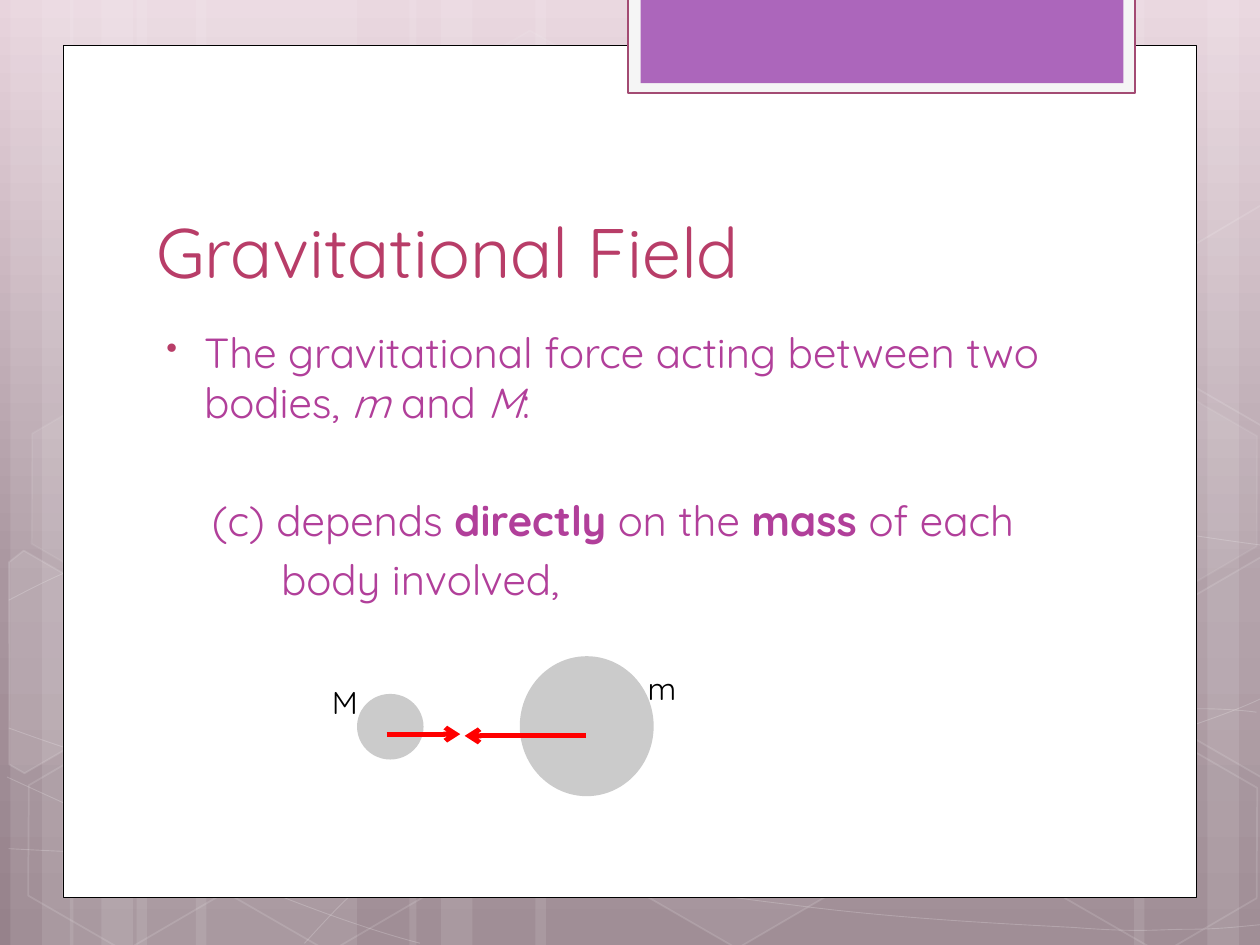
import pptx
import pptx.dml.color
import pptx.enum.shapes
import pptx.enum.text
import pptx.oxml
import pptx.oxml.ns
import pptx.util

Pt = pptx.util.Pt
RGB = pptx.dml.color.RGBColor.from_string
SHAPE = pptx.enum.shapes.MSO_SHAPE
ANCHOR = pptx.enum.text.MSO_ANCHOR
qn = pptx.oxml.ns.qn
NS = 'xmlns:a="http://schemas.openxmlformats.org/drawingml/2006/main"'

THEME = {
    "font": "Quicksand",
    "title": "B83D68", "body": "B13F9A", "label": "000000",
    "white": "FFFFFF", "card_edge": "000000",
    "frame": "F5F5F5", "frame_edge": "A34B73", "tab": "AC66BB",
    "sphere": "CBCBCB", "force": "FF0000",
    "sky": [(0, "E8D4DD"), (62, "A9969F"), (100, "96828B")],
    "title_size": 40, "body_size": 24, "label_size": 18,
}

prs = pptx.Presentation()
prs.slide_width, prs.slide_height = Pt(720), Pt(540)
slide = prs.slides.add_slide(prs.slide_layouts[5])
shapes = slide.shapes


def paint(shape, fill=None, fill_alpha=100, edge=None, width=1, edge_alpha=100):
    """Give a shape flat fill and line, each with an opacity in percent."""
    shape.shadow.inherit = False
    for part, color, alpha in ((shape.fill, fill, fill_alpha),
                               (shape.line.fill, edge, edge_alpha)):
        if color is None:
            part.background()
            continue
        part.solid()
        part.fore_color.rgb = RGB(color)
        if alpha < 100:
            owner = shape._element.spPr
            solid = (owner if part is shape.fill else owner.find(qn("a:ln"))).find(qn("a:solidFill"))
            solid[0].append(pptx.oxml.parse_xml(f'<a:alpha {NS} val="{alpha * 1000}"/>'))
    if edge:
        shape.line.width = Pt(width)


def write(paragraph, runs, size, color):
    """Add (text, font attributes) runs in the theme font."""
    for text, style in runs:
        run = paragraph.add_run()
        run.text = text
        run.font.color.rgb = RGB(color)
        look = {"name": THEME["font"], "size": Pt(size), "bold": False, "italic": False, **style}
        for attribute, value in look.items():
            setattr(run.font, attribute, value)


# Background gradient
sky = slide.background.fill
sky.gradient()
sky.gradient_angle = 270
stops = slide.background._cSld.find(".//" + qn("a:gsLst"))
for stop in list(stops):
    stops.remove(stop)
for position, color in THEME["sky"]:
    stops.append(pptx.oxml.parse_xml(
        f'<a:gs {NS} pos="{position * 1000}"><a:srgbClr val="{color}"/></a:gs>'))

# Vertical light bands: left, width
for left, width in [(78, 126), (6, 36), (24, 60), (112, 126), (40, 36), (58, 60), (528, 126),
                    (690, 36), (648, 60), (306, 222), (234, 36), (252, 60)]:
    band = shapes.add_shape(SHAPE.RECTANGLE, Pt(left), 0, Pt(width), Pt(540))
    paint(band, THEME["white"], 10)

# Sweeping curves: start point, then cubic segments of two handles and an end
sweeps = [
    [(5, 485), (44, 487), (83, 489), (137, 488), (191, 487), (258, 486), (330, 479),
     (402, 472), (504, 458), (570, 444), (636, 431), (703, 409), (725, 397)],
    [(5, 343), (26, 332), (47, 321), (87, 310), (128, 300), (186, 284), (250, 279),
     (314, 274), (392, 273), (471, 279), (550, 284), (682, 307), (725, 312)],
    [(4, 444), (91, 484), (178, 523), (240, 539)],
    [(5, 416), (27, 424), (50, 432), (92, 444), (134, 454), (197, 472), (257, 485),
     (317, 497), (392, 510), (452, 517), (512, 525), (576, 528), (614, 530),
     (652, 533), (662, 531), (680, 531), (699, 531), (712, 529), (725, 528)],
    [(174, 539), (187, 525), (200, 510), (217, 498), (235, 485), (259, 470), (279, 460),
     (300, 450), (312, 446), (338, 438), (364, 431), (413, 421), (438, 416),
     (464, 411), (467, 411), (490, 410), (512, 407), (547, 405), (572, 405),
     (597, 404), (638, 405), (638, 405), (654, 405), (670, 405), (686, 405),
     (699, 405), (711, 406), (718, 407)],
]
for sweep in sweeps:
    builder = shapes.build_freeform(*sweep[0], scale=Pt(1))
    builder.add_line_segments(sweep[1:], close=False)
    curve = builder.convert_to_shape()
    # Join every three straight steps into one cubic segment
    steps = list(curve._element.iter(qn("a:lnTo")))
    for k in range(0, len(steps), 3):
        cubic = pptx.oxml.parse_xml(f"<a:cubicBezTo {NS}/>")
        steps[k].addprevious(cubic)
        for step in steps[k:k + 3]:
            cubic.append(step[0])
            step.getparent().remove(step)
    paint(curve, edge=THEME["white"], width=0.5, edge_alpha=20)

# Tilted hexagons: left, top, fill opacity, line opacity
for left, top, fill_alpha, edge_alpha in [(240, 26, 4, 8), (358, 424, 6, 12), (8, 425.5, 0, 12),
                                          (10, 224.5, 7, 8), (125, 426, 0, 12),
                                          (542, 326, 10, 12), (600.5, 427, 0, 12),
                                          (600.5, 226, 7, 8)]:
    hexagon = shapes.add_shape(SHAPE.HEXAGON, Pt(left), Pt(top), Pt(126), Pt(109.5))
    hexagon.adjustments[0], hexagon.adjustments[1] = 0.285, 1.155
    hexagon.rotation = 30
    paint(hexagon, THEME["white"] if fill_alpha else None, fill_alpha,
          THEME["white"], 1, edge_alpha)

# Tilted hexagons cut off by the slide edges: outline, left, top, fill opacity
left_cut = [(0, 9), (4, 0), (68, 0), (99, 55.5), (68, 110), (58, 110)]
right_cut = [(0, 54.5), (31, 0), (38, 0), (98, 104.5), (95, 109.5), (31.5, 109.5)]
for outline, left, top, fill_alpha in [(left_cut, -24, 330.5, 10), (right_cut, 660, 319.5, 4),
                                       (right_cut, 660, 119, 0)]:
    corners = [(left + x, top + y) for x, y in outline]
    builder = shapes.build_freeform(*corners[0], scale=Pt(1))
    builder.add_line_segments(corners[1:], close=True)
    cut = builder.convert_to_shape()
    cut.rotation = 30
    paint(cut, THEME["white"] if fill_alpha else None, fill_alpha, THEME["white"], 1, 12)

# White card and the tab hanging over its top edge
for box, fill, edge, width in [((36, 26, 648, 487), "white", "card_edge", 0.5),
                               ((359, -1.5, 289.5, 54.5), "frame", "frame_edge", 1.25),
                               ((366, -1.5, 276, 49), "tab", None, 0)]:
    panel = shapes.add_shape(SHAPE.RECTANGLE, *map(Pt, box))
    paint(panel, THEME[fill], edge=THEME.get(edge), width=width)

# Title, brought in front of the card
title = shapes.title
title.left, title.top, title.width, title.height = Pt(82), Pt(80.5), Pt(553), Pt(90)
title.text_frame.vertical_anchor = ANCHOR.BOTTOM
heading = title.text_frame.paragraphs[0]
heading.alignment = pptx.enum.text.PP_ALIGN.LEFT
write(heading, [("Gravitational Field", {})], THEME["title_size"], THEME["title"])
shapes._spTree.append(title._element)

# Statement: left margin, first-line indent, space before, runs
statement = shapes.add_textbox(Pt(82), Pt(183), Pt(533.5), Pt(276.5)).text_frame
statement.word_wrap = True
lines = [
    (27.5, -21.5, 0, [("The gravitational force acting between two bodies, ", {}),
                      ("m ", {"italic": True}), ("and ", {}),
                      ("M", {"italic": True}), (":", {})]),
    (32, 0, 38.5, [("(c) depends ", {}), ("directly", {"bold": True}), (" on the ", {}),
                   ("mass ", {"bold": True}), ("of each", {})]),
    (71.5, 0, 5, [("body involved,", {})]),
]
for number, (margin, indent, gap, runs) in enumerate(lines):
    line = statement.add_paragraph() if number else statement.paragraphs[0]
    properties = line._p.get_or_add_pPr()
    properties.set("marL", str(Pt(margin)))
    properties.set("indent", str(Pt(indent)))
    if indent:
        for bullet in (f'<a:buClr {NS}><a:srgbClr val="{THEME["title"]}"/></a:buClr>',
                       f'<a:buSzPct {NS} val="76000"/>', f'<a:buChar {NS} char="•"/>'):
            properties.append(pptx.oxml.parse_xml(bullet))
    if gap:
        line.space_before = Pt(gap)
    write(line, runs, THEME["body_size"], THEME["body"])

# Labels of the two bodies
for name, left, top in [("M", 182.5, 386.5), ("m", 363, 378.5)]:
    label = shapes.add_textbox(Pt(left), Pt(top), Pt(34), Pt(29)).text_frame
    label.word_wrap = True
    write(label.paragraphs[0], [(name, {})], THEME["label_size"], THEME["label"])

# The two bodies
for box in [(204, 396.5, 38, 37.5), (297, 375, 76.5, 80)]:
    paint(shapes.add_shape(SHAPE.OVAL, *map(Pt, box)), THEME["sphere"])

# Forces pulling the bodies together: start x, end x, y
for start, end, y in [(221, 263, 419.5), (335, 265.5, 420.5)]:
    force = shapes.add_connector(pptx.enum.shapes.MSO_CONNECTOR.STRAIGHT,
                                 Pt(start), Pt(y), Pt(end), Pt(y))
    force.line.color.rgb = RGB(THEME["force"])
    force.line.width = Pt(2.75)
    force.line._ln.append(pptx.oxml.parse_xml(f'<a:tailEnd {NS} type="arrow"/>'))
    force._element.spPr.append(pptx.oxml.parse_xml(f'<a:effectLst {NS}/>'))

prs.save("out.pptx")
